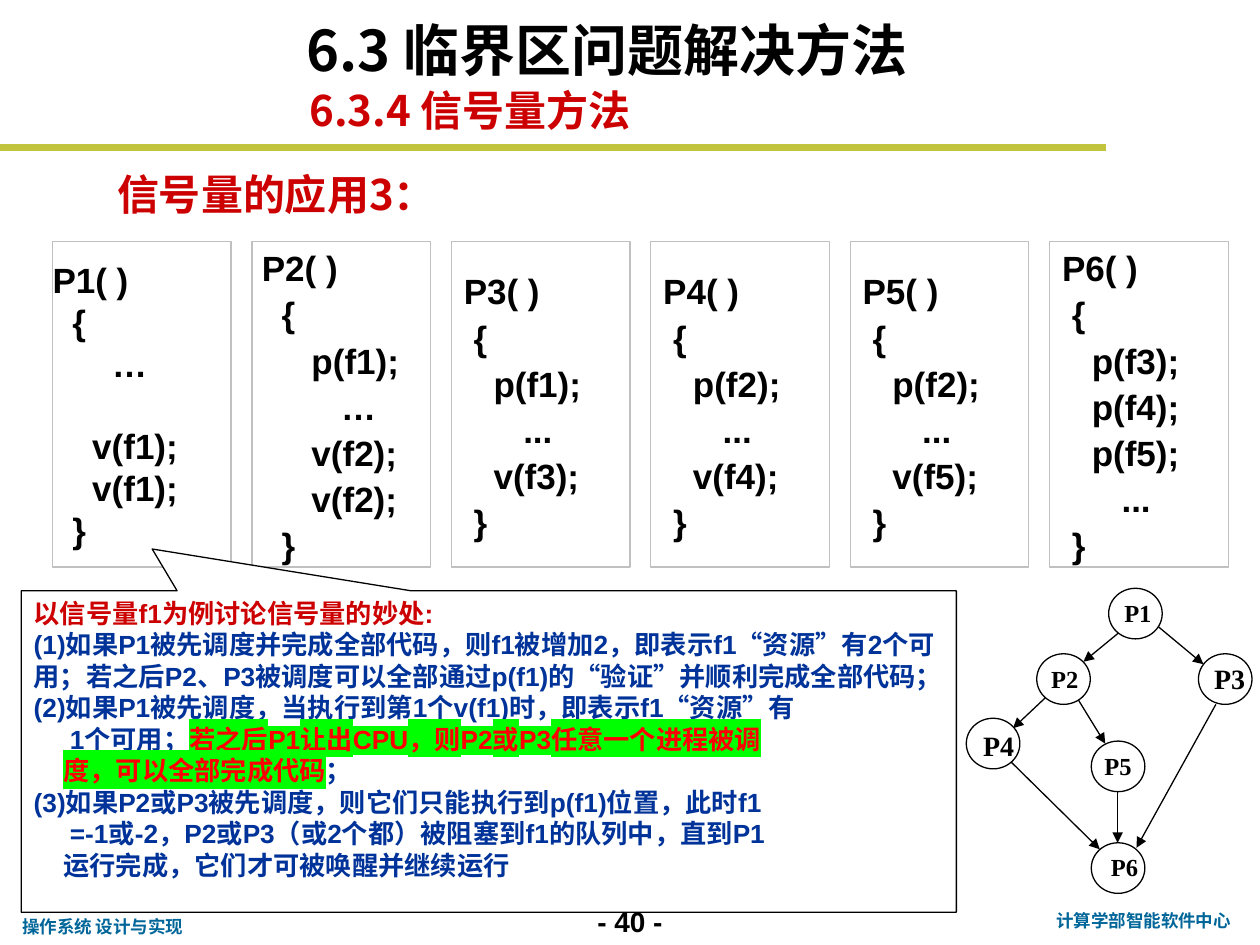
"""Build a slide on semaphores ordering six processes by precedence."""
from lxml.etree import SubElement, Element
from pptx import Presentation
from pptx.dml.color import RGBColor
from pptx.enum.shapes import MSO_CONNECTOR as Connector, MSO_SHAPE as Shape
from pptx.enum.text import MSO_ANCHOR as Anchor, PP_ALIGN as Align
from pptx.oxml.ns import qn
from pptx.util import Cm, Pt

COLORS = {
    "black": "000000", "white": "FFFFFF", "red": "CC0000", "bright": "FF0000",
    "blue": "003399", "teal": "006699", "olive": "C1C43C", "gray": "C0C0C0",
    "green": "00FF00",
}
CJK = "Noto Sans CJK SC"
SERIF = "Times New Roman"


def write(shape, text, size=15, color="black", font="Arial", east_asian=CJK, align=Align.LEFT,
          anchor=Anchor.MIDDLE, margins=(0.25, 0.13), wrap=True, indent=0, spacing=None,
          before=0, highlight=None, continued=False):
    frame = shape.text_frame
    frame.word_wrap, frame.vertical_anchor = wrap, anchor
    frame.margin_left = frame.margin_right = Cm(margins[0])
    frame.margin_top = frame.margin_bottom = Cm(margins[1])
    paragraph = frame.paragraphs[-1]
    if not continued:
        if paragraph.runs:
            paragraph = frame.add_paragraph()
        paragraph.alignment, paragraph.space_before = align, Pt(before)
        paragraph.line_spacing = spacing
        properties = paragraph._p.get_or_add_pPr()
        properties.set("marL", str(Cm(indent)))
        properties.set("indent", "0")
    run = paragraph.add_run()
    run.text = text
    run.font.size, run.font.bold, run.font.name = Pt(size), True, font
    run.font.color.rgb = RGBColor.from_string(COLORS[color])
    latin = run._r.get_or_add_rPr().find(qn("a:latin"))
    east = Element(qn("a:ea"))
    east.set("typeface", east_asian)
    latin.addnext(east)
    if highlight:
        marker = Element(qn("a:highlight"))
        SubElement(marker, qn("a:srgbClr")).set("val", COLORS[highlight])
        latin.addprevious(marker)


def draw(kind, left, top, width, height, line="black", weight=0.75, fill=None, arrow=False):
    if kind is Connector.STRAIGHT:
        shape = slide.shapes.add_connector(kind, Cm(left), Cm(top), Cm(width), Cm(height))
    else:
        shape = slide.shapes.add_shape(kind, Cm(left), Cm(top), Cm(width), Cm(height))
        shape.shadow.inherit = False
        if fill:
            shape.fill.solid()
            shape.fill.fore_color.rgb = RGBColor.from_string(COLORS[fill])
        else:
            shape.fill.background()
    shape.line.color.rgb = RGBColor.from_string(COLORS[line])
    shape.line.width = Pt(weight)
    if arrow:
        SubElement(shape.line._get_or_add_ln(), qn("a:tailEnd")).set("type", "triangle")
    if kind is Connector.STRAIGHT:
        SubElement(shape._element.spPr, qn("a:effectLst"))
    return shape


presentation = Presentation()
presentation.slide_width, presentation.slide_height = Cm(25.4), Cm(19.05)
slide = presentation.slides.add_slide(presentation.slide_layouts[6])

draw(Connector.STRAIGHT, 0, 2.97, 22.3, 2.97, line="olive", weight=4)

footer = dict(size=10, color="teal", font="Roboto", anchor=Anchor.TOP)
heading = dict(size=24, color="red", font=CJK, wrap=False)
labels = [
    ("- 40 -", (11.43, 18.11, 2.54, 0.94), dict(size=16, align=Align.CENTER, anchor=Anchor.TOP)),
    ("计算学部智能软件中心", (20.96, 18.21, 4.19, 0.69), dict(footer, align=Align.CENTER)),
    ("操作系统 设计与实现", (0.2, 18.34, 3.81, 0.69), dict(footer, wrap=False)),
    ("6.3 临界区问题解决方法", (5.92, 0.2, 13.97, 1.6),
     dict(size=32, font=CJK, anchor=Anchor.BOTTOM)),
    ("6.3.4 信号量方法", (5.99, 1.68, 13.46, 1.07), heading),
    ("信号量的应用3：", (2.11, 3.38, 17.35, 1.07), heading),
]
for text, place, style in labels:
    box = slide.shapes.add_textbox(*map(Cm, place))
    write(box, text, **style)

SPACE = 0.2
processes = [
    (["P1( )", "{", "…", "v(f1);", "v(f1);", "}"], [0, 2, 6, 4, 4, 2]),
    (["P2( )", "{", "p(f1);", "…", "v(f2);", "v(f2);", "}"], [1, 3, 6, 9, 6, 6, 3]),
    (["P3( )", "{", "p(f1);", "...", "v(f3);", "}"], [0, 1, 3, 6, 3, 1]),
    (["P4( )", "{", "p(f2);", "...", "v(f4);", "}"], [0, 1, 3, 6, 3, 1]),
    (["P5( )", "{", "p(f2);", "...", "v(f5);", "}"], [0, 1, 3, 6, 3, 1]),
    (["P6( )", "{", "p(f3);", "p(f4);", "p(f5);", "...", "}"], [0, 1, 3, 3, 3, 6, 1]),
]
for column, (code, indents) in enumerate(processes):
    box = draw(Shape.RECTANGLE, 1.06 + 4.02 * column, 4.87, 3.6, 6.56, line="gray")
    for row, (text, indent) in enumerate(zip(code, indents)):
        write(box, text, size=20, east_asian="Arial", indent=indent * SPACE,
              margins=(0 if column < 2 else 0.25, 0.13),
              spacing=1.1 if column else 1.0,
              before=23 if (column, row) == (0, 3) else 0)

arrows = [
    (22.56, 12.75, 21.84, 13.34), (21.26, 13.89, 20.42, 14.68),
    (23.19, 12.5, 24.26, 13.39), (21.56, 13.82, 22.28, 14.99),
    (20.29, 15.27, 22.17, 17.12), (22.53, 15.82, 22.53, 16.99),
    (24.51, 14.2, 22.91, 17.09),
]
for ends in arrows:
    draw(Connector.STRAIGHT, *ends, arrow=True)

nodes = [
    ("P1", 22.35, 11.86, 22.38, 11.91, 1.12, 14),
    ("P2", 20.9, 13.18, 20.93, 13.23, 1.07, 14),
    ("P3", 24.16, 13.18, 24.18, 13.23, 1.22, 16),
    ("P4", 19.48, 14.48, 19.51, 14.58, 1.24, 16),
    ("P5", 22, 14.94, 22.02, 14.99, 1.04, 14),
    ("P6", 22, 16.99, 22.05, 17.02, 1.24, 14),
]
for name, left, top, label_left, label_top, label_width, size in nodes:
    draw(Shape.OVAL, left, top, 1.08, 1.02, fill="white")
    label = slide.shapes.add_textbox(Cm(label_left), Cm(label_top), Cm(label_width), Cm(0.89))
    write(label, name, size=size, font=SERIF, align=Align.CENTER, margins=(0, 0))

callout = draw(Shape.RECTANGULAR_CALLOUT, 0.43, 11.91, 18.85, 6.48, fill="white")
callout.adjustments[0], callout.adjustments[1] = -0.36, -0.63
marked = dict(color="bright", highlight="green")
discussion = [
    ("以信号量f1为例讨论信号量的妙处:", dict(color="red")),
    ("(1)如果P1被先调度并完成全部代码，则f1被增加2，即表示f1“资源”有2个可用；"
     "若之后P2、P3被调度可以全部通过p(f1)的“验证”并顺利完成全部代码；", {}),
    ("(2)如果P1被先调度，当执行到第1个v(f1)时，即表示f1“资源”有", {}),
    ("1个可用；", dict(indent=0.73)),
    ("若之后P1让出CPU，则P2或P3任意一个进程被调", dict(marked, continued=True)),
    ("度，可以全部完成代码", dict(marked, indent=0.6)),
    ("；", dict(continued=True)),
    ("(3)如果P2或P3被先调度，则它们只能执行到p(f1)位置，此时f1", {}),
    ("=-1或-2，P2或P3（或2个都）被阻塞到f1的队列中，直到P1", dict(indent=0.73)),
    ("运行完成，它们才可被唤醒并继续运行", dict(indent=0.6)),
]
for text, style in discussion:
    write(callout, text, **{"color": "blue", "anchor": Anchor.TOP, **style})

presentation.save("out.pptx")
